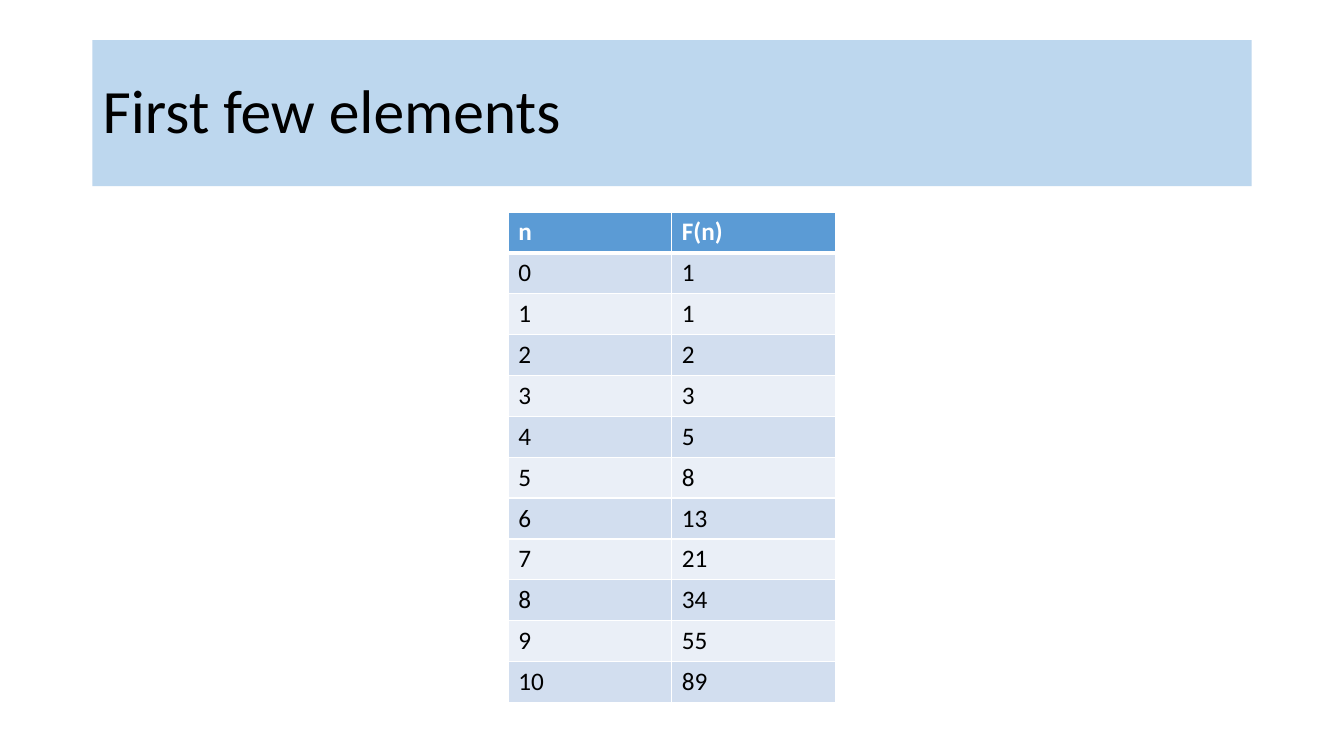
"""Build a slide that tabulates the first Fibonacci numbers."""
from dataclasses import dataclass

from lxml import etree
from pptx import Presentation
from pptx.dml.color import RGBColor
from pptx.enum.text import MSO_ANCHOR, PP_ALIGN
from pptx.oxml.ns import qn
from pptx.util import Cm, Pt

MIDDLE = MSO_ANCHOR.MIDDLE
LEFT = PP_ALIGN.LEFT
TITLE_ONLY = 5
LAST_N = 10


@dataclass(frozen=True)
class Theme:
    font: str = "Calibri"
    title_size: int = 44
    cell_size: int = 18
    text: str = "000000"
    white: str = "FFFFFF"
    title_fill: str = "BDD7EE"
    header_fill: str = "5B9BD5"
    bands: tuple = ("D2DEEF", "EAEFF7")
    thin: int = 1
    thick: int = 3


THEME = Theme()


def fibonacci_rows(last):
    rows = []
    current, following = 1, 1
    for n in range(last + 1):
        rows.append((n, current))
        current, following = following, current + following
    return rows


def set_fill(target, color):
    target.fill.solid()
    target.fill.fore_color.rgb = RGBColor.from_string(color)


def add_run(p, text, size, color, bold=False):
    r = p.add_run()
    r.text = text
    r.font.name = THEME.font
    r.font.size = Pt(size)
    r.font.bold = bold
    r.font.color.rgb = RGBColor.from_string(color)


def set_borders(cell, top, bottom):
    tcPr = cell._tc.get_or_add_tcPr()
    widths = {"L": THEME.thin, "R": THEME.thin, "T": top, "B": bottom}
    for side, width in widths.items():
        ln = etree.SubElement(tcPr, qn(f"a:ln{side}"), w=str(Pt(width)))
        fill = etree.SubElement(ln, qn("a:solidFill"))
        etree.SubElement(fill, qn("a:srgbClr"), val=THEME.white)


def add_title(s, text):
    sp = s.shapes.title
    sp.left, sp.top, sp.width, sp.height = Cm(2.33), Cm(1.01), Cm(29.21), Cm(3.68)
    set_fill(sp, THEME.title_fill)
    tf = sp.text_frame
    tf.word_wrap = True
    tf.vertical_anchor = MIDDLE
    p = tf.paragraphs[0]
    p.alignment = LEFT
    p.line_spacing = 0.9
    add_run(p, text, THEME.title_size, THEME.text)


def format_cell(cell, text, row):
    header = row == 0
    set_borders(cell,
                top=THEME.thick if row == 1 else THEME.thin,
                bottom=THEME.thick if header else THEME.thin)
    set_fill(cell, THEME.header_fill if header else THEME.bands[(row - 1) % 2])
    add_run(cell.text_frame.paragraphs[0], text, THEME.cell_size,
            THEME.white if header else THEME.text, bold=header)


def add_number_table(s, rows):
    col_width, row_height = Cm(4.12), Cm(1.03)
    columns = len(rows[0])
    table = s.shapes.add_table(len(rows), columns, Cm(12.81), Cm(5.34),
                               col_width * columns, row_height * len(rows)).table
    for column in table.columns:
        column.width = col_width
    for i, values in enumerate(rows):
        table.rows[i].height = row_height
        for j, value in enumerate(values):
            format_cell(table.cell(i, j), str(value), i)


def main():
    prs = Presentation()
    prs.slide_width, prs.slide_height = Cm(33.87), Cm(19.05)
    s = prs.slides.add_slide(prs.slide_layouts[TITLE_ONLY])
    add_title(s, "First few elements")
    add_number_table(s, [("n", "F(n)")] + fibonacci_rows(LAST_N))
    prs.save("out.pptx")


if __name__ == "__main__":
    main()
